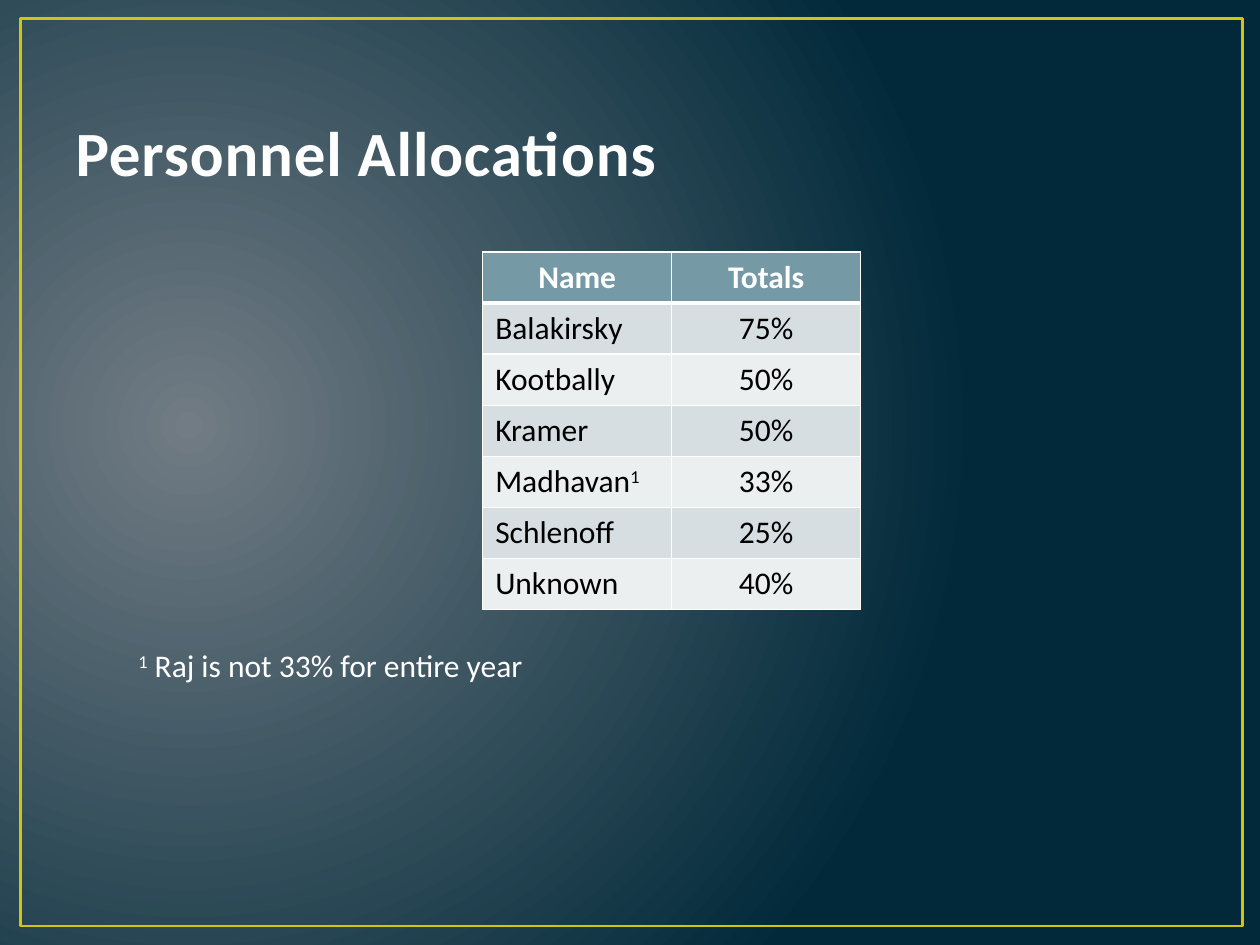
from lxml import etree
from pptx import Presentation
from pptx.dml.color import RGBColor
from pptx.enum.shapes import MSO_SHAPE
from pptx.enum.text import MSO_ANCHOR, MSO_AUTO_SIZE, PP_ALIGN
from pptx.oxml.ns import qn
from pptx.util import Cm, Pt

RECT = MSO_SHAPE.RECTANGLE
BOTTOM, MIDDLE = MSO_ANCHOR.BOTTOM, MSO_ANCHOR.MIDDLE
FIXED, GROW = MSO_AUTO_SIZE.NONE, MSO_AUTO_SIZE.SHAPE_TO_FIT_TEXT
LEFT, CENTER = PP_ALIGN.LEFT, PP_ALIGN.CENTER

WHITE, BLACK = "FFFFFF", "000000"
HEAD, BANDS = "759AA5", ("D6DEE1", "ECEFF0")
BODY = {"name": "Calibri", "size": Pt(18), "bold": False}
ROWS = [
    ("Name", "Totals"),
    ("Balakirsky", "75%"),
    ("Kootbally", "50%"),
    ("Kramer", "50%"),
    ("Madhavan^1", "33%"),
    ("Schlenoff", "25%"),
    ("Unknown", "40%"),
]


def rgb(code):
    return RGBColor.from_string(code)


def assign(target, values):
    for key, value in values.items():
        setattr(target, key, value)


def write(para, text, color, style, align=LEFT):
    """Fill a paragraph; a character after ^ is raised."""
    para.alignment = align
    first, *rest = text.split("^")
    parts = [(first, False)]
    for part in rest:
        parts += [(part[0], True), (part[1:], False)]
    for words, high in parts:
        if not words:
            continue
        run = para.add_run()
        run.text = words
        assign(run.font, style)
        run.font.color.rgb = rgb(color)
        if high:
            run.font._element.set("baseline", "30000")


def line_xml(tag, color, width):
    line = etree.Element(qn(tag), w=str(int(Pt(width))))
    fill = etree.SubElement(line, qn("a:solidFill"))
    etree.SubElement(fill, qn("a:srgbClr"), val=color)
    return line


def paint_back(slide):
    fill = slide.background.fill
    fill.gradient()
    for stop, (place, color) in zip(fill.gradient_stops,
                                    [(0, "717C84"), (1, "01293A")]):
        stop.position = place
        stop.color.rgb = rgb(color)
    grad = slide.element.find(".//" + qn("a:gradFill"))
    grad.remove(grad.find(qn("a:lin")))
    round_ = etree.SubElement(grad, qn("a:path"))
    round_.set("path", "circle")
    etree.SubElement(round_, qn("a:fillToRect"),
                     l="15000", t="50000", r="85000", b="60000")


def add_frame(slide, box):
    frame = slide.shapes.add_shape(RECT, *box)
    frame.shadow.inherit = False
    frame.fill.background()
    frame.line.color.rgb = rgb("CFC60D")
    frame.line.width = Pt(1.5)
    slide.shapes.title.element.addprevious(frame.element)


def set_title(slide, box):
    title = slide.shapes.title
    assign(title, dict(zip(("left", "top", "width", "height"), box)))
    frame = title.text_frame
    assign(frame, {"vertical_anchor": BOTTOM, "auto_size": FIXED,
                   "word_wrap": True})
    para = frame.paragraphs[0]
    write(para, "Personnel Allocations", "FEFEFE",
          {"name": "Calibri", "size": Pt(36), "bold": True})
    props = para.runs[0].font._element
    props.set("spc", "50")
    props.insert(0, line_xml("a:ln", "384F55", 1.05))


def add_totals(slide, box):
    table = slide.shapes.add_table(len(ROWS), 2, *box).table
    for row, texts in enumerate(ROWS):
        table.rows[row].height = int(box[3] / len(ROWS))
        top = row == 0
        for col, text in enumerate(texts):
            cell = table.cell(row, col)
            cell.fill.solid()
            cell.fill.fore_color.rgb = rgb(HEAD if top else BANDS[(row - 1) % 2])
            write(cell.text_frame.paragraphs[0], text,
                  WHITE if top else BLACK, {**BODY, "bold": top},
                  CENTER if top or col else LEFT)
            edges = {"L": 1, "R": 1, "T": 3 if row == 1 else 1,
                     "B": 3 if top else 1}
            props = cell._tc.get_or_add_tcPr()
            for spot, (side, width) in enumerate(edges.items()):
                props.insert(spot, line_xml("a:ln" + side, WHITE, width))


def add_note(slide, box):
    frame = slide.shapes.add_textbox(*box).text_frame
    assign(frame, {"word_wrap": False, "auto_size": GROW})
    write(frame.paragraphs[0], "^1 Raj is not 33% for entire year", WHITE, BODY)


def main():
    deck = Presentation()
    assign(deck, {"slide_width": Cm(25.4), "slide_height": Cm(19.05)})
    slide = deck.slides.add_slide(deck.slide_layouts[5])
    paint_back(slide)
    add_frame(slide, (Cm(0.41), Cm(0.38), Cm(24.64), Cm(18.29)))
    set_title(slide, (Cm(1.27), Cm(0.76), Cm(22.86), Cm(3.18)))
    add_totals(slide, (Cm(9.73), Cm(5.08), Cm(7.62), Cm(7.21)))
    add_note(slide, (Cm(2.54), Cm(12.9), Cm(8.66), Cm(1.03)))
    deck.save("out.pptx")


if __name__ == "__main__":
    main()
